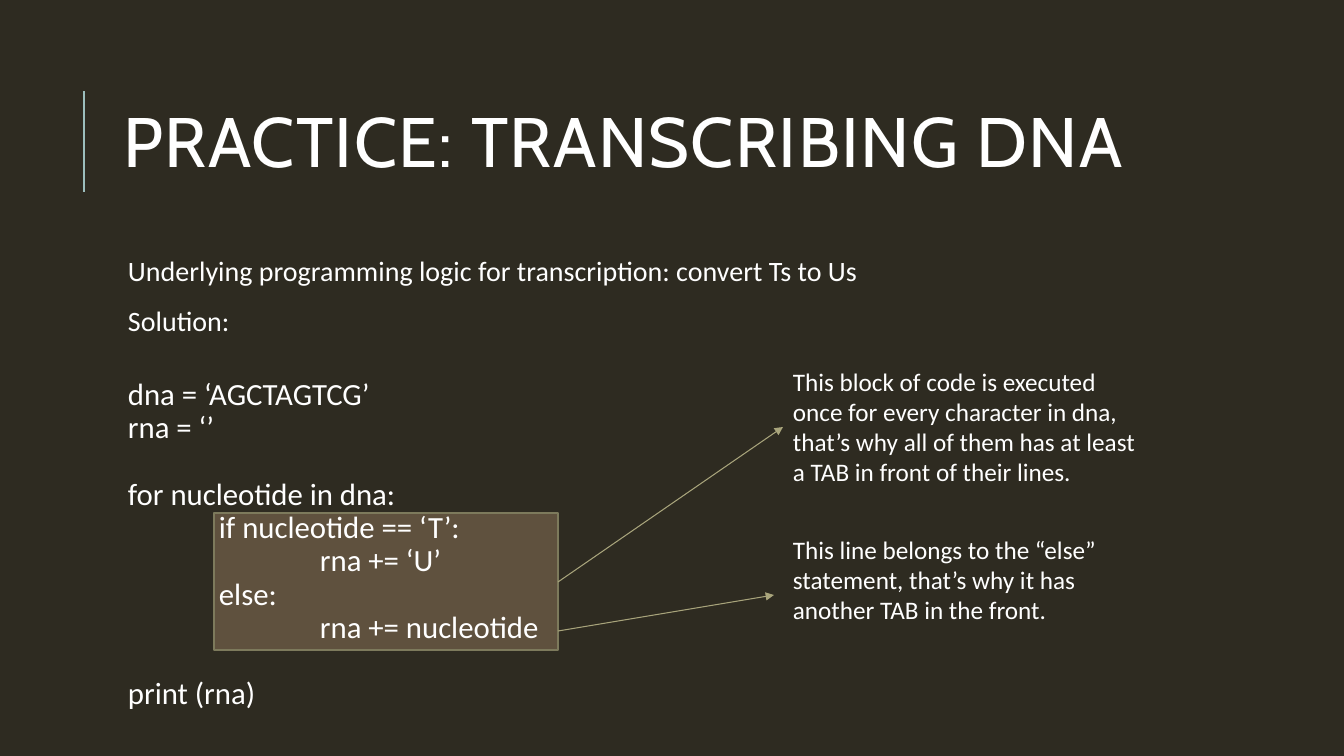
from pptx import Presentation
from pptx.util import Pt
from pptx.dml.color import RGBColor as Rgb
from pptx.enum.shapes import MSO_SHAPE as Shape, MSO_CONNECTOR as Link
from pptx.enum.text import MSO_ANCHOR as Anchor, MSO_AUTO_SIZE as Fit, PP_ALIGN as Align
from pptx.oxml.ns import qn
from lxml.etree import SubElement as Sub

TITLE = "PRACTICE: TRANSCRIBING DNA"
INTRO = ["Underlying programming logic for transcription: convert Ts to Us", "Solution:"]
CODE = [
    "dna = ‘AGCTAGTCG’",
    "rna = ‘’",
    "",
    "for nucleotide in dna:",
    "\tif nucleotide == ‘T’:",
    "\t\trna += ‘U’",
    "\telse:",
    "\t\trna += nucleotide",
    "\t",
    "print (rna)",
]
NOTES = [
    ("This block of code is executed once for every character in dna, "
     "that’s why all of them has at least a TAB in front of their lines.",
     (783, 361, 366, 132)),
    ("This line belongs to the “else” statement, that’s why it has another TAB in the front.",
     (783, 529, 366, 102)),
]
ARROWS = [((558, 582), (783, 427)), ((558, 631), (774, 595))]
RULE = ((84, 192), (84, 91))
BLOCK = (214, 513, 344, 137)
THEME = {
    "back": "2E2B21", "text": "FFFFFF", "rule": "9CBEBD", "arrow": "A9A57C",
    "block": "5F513E", "edge": "7D7A5C",
    "head": "Cabin", "font": "Calibri",
    "title": 50, "intro": 20, "code": 22, "note": 18,
}
SCALE = 914400 / 100.8
INSET = 5
HANG = 10
TAB = 101


def px(*nums):
    return [round(n * SCALE) for n in nums]


def tint(name):
    return Rgb.from_string(THEME[name])


def place(item, area):
    item.left, item.top, item.width, item.height = px(*area)


def style(para, size, face="font"):
    font = para.font
    font.name, font.size = THEME[face], Pt(THEME[size])
    font.color.rgb = tint("text")


def listing(frame, lines, size):
    frame.word_wrap = True
    frame.auto_size = Fit.NONE
    frame.margin_left, frame.margin_right, frame.margin_top, frame.margin_bottom = px(*[INSET] * 4)
    for i, line in enumerate(lines):
        para = frame.add_paragraph() if i else frame.paragraphs[0]
        para.text = line
        para.line_spacing = 0.9
        para.space_before, para.space_after = Pt(12), Pt(2)
        props = para._p.get_or_add_pPr()
        for key, size_px in zip(("marL", "indent", "defTabSz"), px(HANG, -HANG, TAB)):
            props.set(key, str(size_px))
        color = Sub(props, qn("a:buClr"))
        Sub(color, qn("a:srgbClr")).set("val", THEME["rule"])
        Sub(props, qn("a:buFont")).set("typeface", THEME["font"])
        Sub(props, qn("a:buChar")).set("char", " ")
        style(para, size)


def line(ends, color, width, arrow=False):
    (x1, y1), (x2, y2) = ends
    link = slide.shapes.add_connector(Link.STRAIGHT, *px(x1, y1, x2, y2))
    link.line.color.rgb = tint(color)
    link.line.width = Pt(width)
    props = link._element.spPr
    if arrow:
        Sub(props.find(qn("a:ln")), qn("a:tailEnd")).set("type", "triangle")
    Sub(props, qn("a:effectLst"))


deck = Presentation()
deck.slide_width, deck.slide_height = px(1344, 756)
slide = deck.slides.add_slide(deck.slide_layouts[1])
fill = slide.background.fill
fill.solid()
fill.fore_color.rgb = tint("back")

title = slide.shapes.title
place(title, (113, 65, 1072, 165))
frame = title.text_frame
frame.text = TITLE
frame.word_wrap = True
frame.auto_size = Fit.NONE
frame.vertical_anchor = Anchor.MIDDLE
para = frame.paragraphs[0]
para.alignment = Align.LEFT
para.line_spacing = 0.8
style(para, "title", "head")
para.runs[0]._r.get_or_add_rPr().set("spc", "100")

body = slide.placeholders[1]
place(body, (113, 252, 1139, 109))
listing(body.text_frame, INTRO, "intro")

line(RULE, "rule", 1.5)

block = slide.shapes.add_shape(Shape.RECTANGLE, *px(*BLOCK))
block.shadow.inherit = False
block.fill.solid()
block.fill.fore_color.rgb = tint("block")
block.line.color.rgb = tint("edge")
block.line.width = Pt(1.25)

code = slide.shapes.add_textbox(*px(113, 374, 616, 344))
listing(code.text_frame, ["\v".join(CODE)], "code")

for words, area in NOTES:
    note = slide.shapes.add_textbox(*px(*area)).text_frame
    note.word_wrap = True
    note.auto_size = Fit.SHAPE_TO_FIT_TEXT
    note.text = words
    style(note.paragraphs[0], "note")

for ends in ARROWS:
    line(ends, "arrow", 0.75, True)

deck.save("out.pptx")
